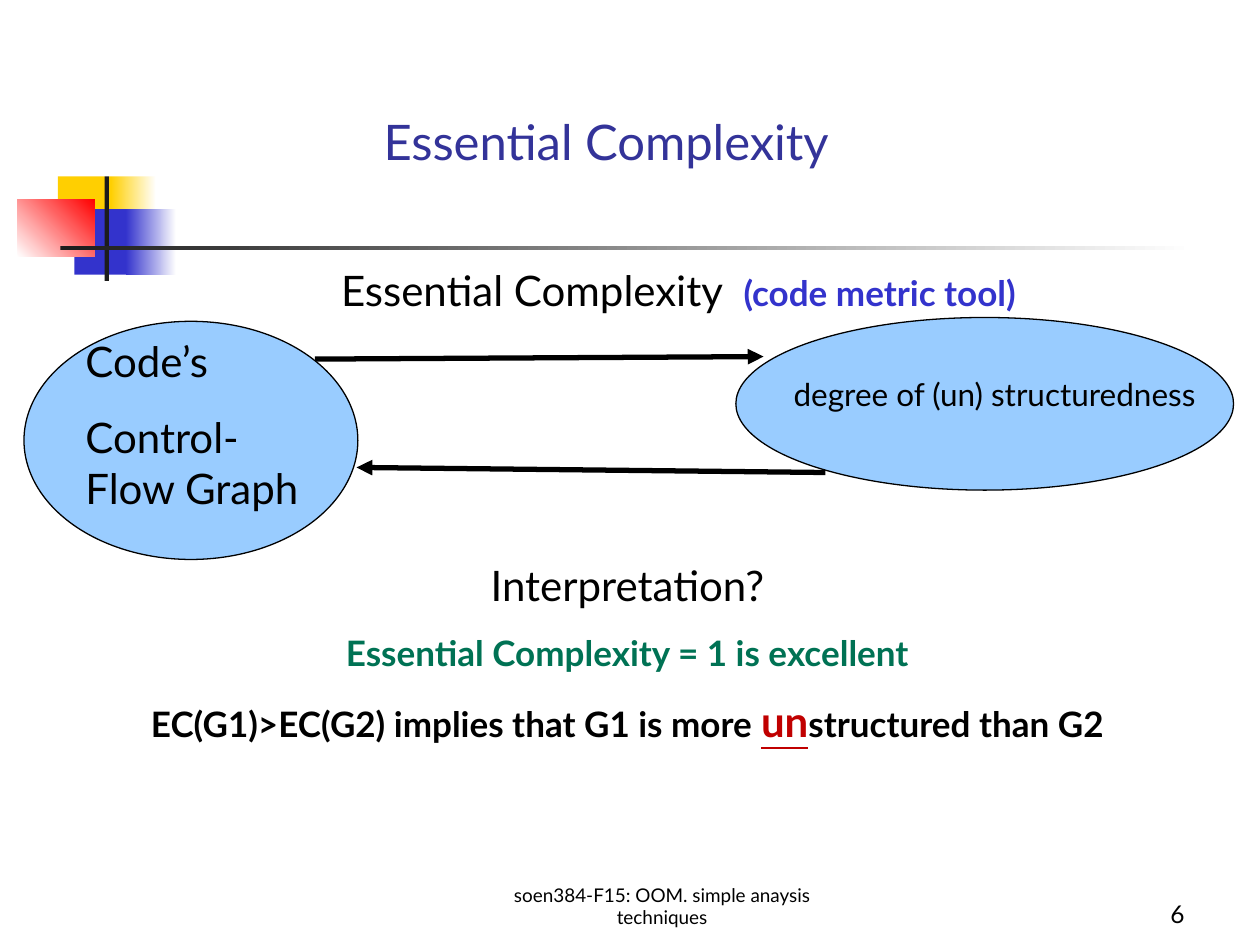
from pptx import Presentation
from pptx.dml.color import RGBColor
from pptx.enum.dml import MSO_THEME_COLOR
from pptx.enum.shapes import MSO_CONNECTOR, MSO_SHAPE
from pptx.enum.text import MSO_ANCHOR, PP_ALIGN
from pptx.oxml.ns import qn
from pptx.util import Inches, Pt
from lxml import etree

RECT, OVAL = MSO_SHAPE.RECTANGLE, MSO_SHAPE.OVAL
STRAIGHT = MSO_CONNECTOR.STRAIGHT
LEFT, CENTER, RIGHT = PP_ALIGN.LEFT, PP_ALIGN.CENTER, PP_ALIGN.RIGHT
TOP, BOTTOM = MSO_ANCHOR.TOP, MSO_ANCHOR.BOTTOM
ACCENT = MSO_THEME_COLOR.ACCENT_1

FONT = "Lato"
WIDTH, HEIGHT = Inches(10), Inches(7.5)
COLS, ROWS = 100, 75
COLORS = {
    "black": "000000", "white": "FFFFFF", "yellow": "FFCF01", "blue": "3333CC",
    "red": "FF0000", "ink": "1C1C1C", "title": "333399", "oval": "99CCFF",
    "green": "007254", "alert": "C00000",
}

DECOR = [
    ((4.6, 12, 4.8, 5.2), ("yellow",), 0),
    ((8.8, 12, 3.6, 5.2), ("yellow", "white"), 0),
    ((5.9, 16.6, 4.6, 5.2), ("blue",), 0),
    ((10, 16.6, 4, 5.2), ("blue", "white"), 0),
    ((1.4, 15.8, 6.1, 4.6), ("white", "red"), 45),
    ((8.3, 10.8, 0.35, 11.5), ("ink",), 0),
    ((4.8, 19.5, 90, 0.35), ("ink", "white"), 0),
]
TITLE_BOX = (2.6, -5.3, 92.8, 19.3)
TITLE = [(0, 1.8, [("Essential Complexity", 28, "title", False, False)])]
GRAPH_OVAL = (1.9, 25.5, 26.5, 18.9)
DEGREE_OVAL = (58.4, 25.2, 39.5, 13.7)
ARROWS = [(25, 28.5, 60.6, 28.3), (65.5, 37.5, 28.3, 37.1)]

FOOTER = [
    ((36.7, 69.2, 31.7, 5), CENTER, BOTTOM,
     [(0, 0, [("soen384-F15: OOM. simple anaysis techniques", 10.8, "black", False, False)])]),
    ((74.2, 69.2, 20.8, 5), RIGHT, BOTTOM,
     [(0, 0, [("6", 14, "black", False, False)])]),
]
BODY = [
    ((5.8, 26.1, 20, 15.1), LEFT, TOP, [
        (0, 0, [("Code’s", 24, "black", False, False)]),
        (15, 0, [("Control-Flow Graph", 24, "black", False, False)]),
    ]),
    ((16.3, 20.5, 75.1, 5), CENTER, TOP, [
        (0, 0, [("Essential Complexity  ", 24, "black", False, False),
                ("(code metric tool)", 20, "blue", True, False)]),
    ]),
    ((5.8, 43.9, 89.6, 20.9), CENTER, TOP, [
        (0, 1.6, [("Interpretation?", 24, "black", False, False)]),
        (12.5, 0, [("Essential Complexity = 1 is excellent", 20, "green", True, False)]),
        (12.5, 0, [("EC(G1)>EC(G2) implies that G1 is more ", 20, "black", True, False),
                   ("un", 24, "alert", True, True),
                   ("structured than G2", 20, "black", True, False)]),
    ]),
]
DEGREE = ((62, 29.3, 35.5, 7), LEFT, TOP,
          [(0, 0, [("degree of (un) structuredness", 18, "black", False, False)])])


def rgb(name):
    return RGBColor.from_string(COLORS[name])


def x(cols):
    return round(WIDTH * cols / COLS)


def y(rows):
    return round(HEIGHT * rows / ROWS)


def place(box):
    left, top, width, height = box
    return x(left), y(top), x(width), y(height)


def add_shape(s, kind, box, fills, angle=0, line=None):
    sp = s.shapes.add_shape(kind, *place(box))
    sp.shadow.inherit = False
    if len(fills) == 1:
        sp.fill.solid()
        sp.fill.fore_color.rgb = rgb(fills[0])
    else:
        sp.fill.gradient()
        sp.fill.gradient_angle = angle
        for stop, position, name in zip(sp.fill.gradient_stops, (0, 1), fills):
            stop.position = position
            stop.color.theme_color = ACCENT
            stop.color.rgb = rgb(name)
    if line:
        sp.line.color.rgb = rgb(line)
        sp.line.width = Pt(0.75)
    else:
        sp.line.fill.background()
    return sp


def write(sp, align, anchor, paragraphs):
    tf = sp.text_frame
    tf.word_wrap = True
    tf.vertical_anchor = anchor
    for i, (before, margin, runs) in enumerate(paragraphs):
        p = tf.add_paragraph() if i else tf.paragraphs[0]
        p.alignment = align
        if before:
            p.space_before = Pt(before)
        if margin:
            p._p.get_or_add_pPr().set("marR", str(x(margin)))
        for text, size, color, bold, underline in runs:
            r = p.add_run()
            r.text = text
            r.font.name = FONT
            r.font.size = Pt(size)
            r.font.bold = bold
            r.font.underline = underline
            r.font.color.rgb = rgb(color)


def add_text(s, box, align, anchor, paragraphs):
    write(s.shapes.add_textbox(*place(box)), align, anchor, paragraphs)


def add_arrow(s, x1, y1, x2, y2):
    c = s.shapes.add_connector(STRAIGHT, x(x1), y(y1), x(x2), y(y2))
    c.line.color.rgb = rgb("black")
    c.line.width = Pt(3)
    etree.SubElement(c.line._get_or_add_ln(), qn("a:tailEnd"), type="triangle")
    etree.SubElement(c._element.spPr, qn("a:effectLst"))


def main():
    prs = Presentation()
    prs.slide_width, prs.slide_height = WIDTH, HEIGHT
    s = prs.slides.add_slide(prs.slide_layouts[6])
    for box, fills, angle in DECOR:
        add_shape(s, RECT, box, fills, angle)
    for item in FOOTER:
        add_text(s, *item)
    write(add_shape(s, RECT, TITLE_BOX, ("white",)), CENTER, BOTTOM, TITLE)
    add_shape(s, OVAL, GRAPH_OVAL, ("oval",), line="black")
    for ends in ARROWS:
        add_arrow(s, *ends)
    for item in BODY:
        add_text(s, *item)
    add_shape(s, OVAL, DEGREE_OVAL, ("oval",), line="black")
    add_text(s, *DEGREE)
    prs.save("out.pptx")


if __name__ == "__main__":
    main()
